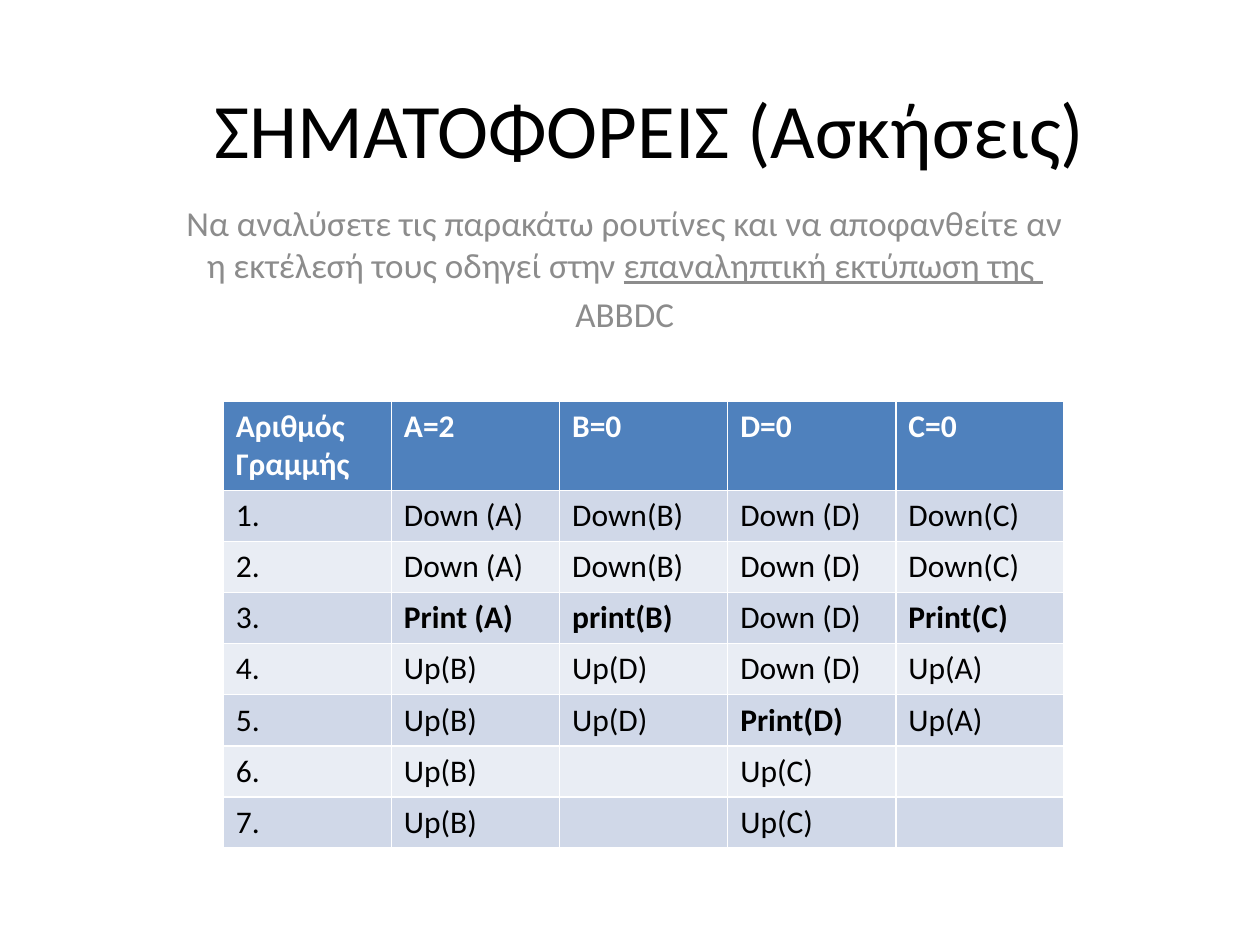
import pptx
import pptx.util
import pptx.dml.color
import pptx.enum.text

Cm = pptx.util.Cm
Pt = pptx.util.Pt

FONT = "Calibri"
COLORS = {
    "title": "000000",
    "subtitle": "8C8C8C",
    "header": "4F81BD",
    "header_text": "FFFFFF",
    "odd_row": "D0D8E8",
    "even_row": "E9EDF4",
    "body_text": "000000",
}

TITLE = "ΣΗΜΑΤΟΦΟΡΕΙΣ (Ασκήσεις)"
SUBTITLE = [
    [
        ("Να αναλύσετε τις παρακάτω ρουτίνες και να αποφανθείτε αν η εκτέλεσή τους οδηγεί στην ", False),
        ("επαναληπτική εκτύπωση της ", True),
    ],
    [("ABBDC", False)],
]
ROUTINES = [
    ("Αριθμός Γραμμής", "A=2", "B=0", "D=0", "C=0"),
    ("1.", "Down (A)", "Down(B)", "Down (D)", "Down(C)"),
    ("2.", "Down (A)", "Down(B)", "Down (D)", "Down(C)"),
    ("3.", "Print (A)", "print(B)", "Down (D)", "Print(C)"),
    ("4.", "Up(B)", "Up(D)", "Down (D)", "Up(A)"),
    ("5.", "Up(B)", "Up(D)", "Print(D)", "Up(A)"),
    ("6.", "Up(B)", "", "Up(C)", ""),
    ("7.", "Up(B)", "", "Up(C)", ""),
]
COLUMN_WIDTH = Cm(3.39)
ROW_HEIGHT = Cm(1.03)


def color(name):
    return pptx.dml.color.RGBColor.from_string(COLORS[name])


def format_font(font, size, color_name):
    font.name = FONT
    font.size = Pt(size)
    font.color.rgb = color(color_name)


def place(shape, left, top, width, height):
    shape.left, shape.top = Cm(left), Cm(top)
    shape.width, shape.height = Cm(width), Cm(height)


def add_title(slide):
    title = slide.shapes.title
    place(title, 2.31, 0.53, 21.59, 4.09)
    title.text_frame.text = TITLE
    title.text_frame.vertical_anchor = pptx.enum.text.MSO_ANCHOR.MIDDLE
    format_font(title.text_frame.paragraphs[0].font, 44, "title")


def add_subtitle(slide):
    subtitle = slide.placeholders[1]
    place(subtitle, 3.3, 3.94, 18.59, 4.88)
    frame = subtitle.text_frame
    for index, runs in enumerate(SUBTITLE):
        paragraph = frame.add_paragraph() if index else frame.paragraphs[0]
        paragraph.alignment = pptx.enum.text.PP_ALIGN.CENTER
        format_font(paragraph.font, 20, "subtitle")
        for text, underlined in runs:
            run = paragraph.add_run()
            run.text = text
            if underlined:
                run.font.underline = True


def add_routines(slide):
    row_count, column_count = len(ROUTINES), len(ROUTINES[0])
    table = slide.shapes.add_table(
        row_count, column_count, Cm(4.5), Cm(8.08),
        COLUMN_WIDTH * column_count, ROW_HEIGHT * row_count,
    ).table
    for column in table.columns:
        column.width = COLUMN_WIDTH
    for row_index, texts in enumerate(ROUTINES):
        table.rows[row_index].height = ROW_HEIGHT
        is_header = row_index == 0
        fill_name = "header" if is_header else ("even_row", "odd_row")[row_index % 2]
        for column_index, text in enumerate(texts):
            cell = table.cell(row_index, column_index)
            cell.text = text
            cell.fill.solid()
            cell.fill.fore_color.rgb = color(fill_name)
            font = cell.text_frame.paragraphs[0].font
            format_font(font, 18, "header_text" if is_header else "body_text")
            font.bold = is_header or text.lower().startswith("print")


def main():
    presentation = pptx.Presentation()
    presentation.slide_width = Cm(25.4)
    presentation.slide_height = Cm(19.05)
    slide = presentation.slides.add_slide(presentation.slide_layouts[0])
    add_title(slide)
    add_subtitle(slide)
    add_routines(slide)
    presentation.save("out.pptx")


if __name__ == "__main__":
    main()
